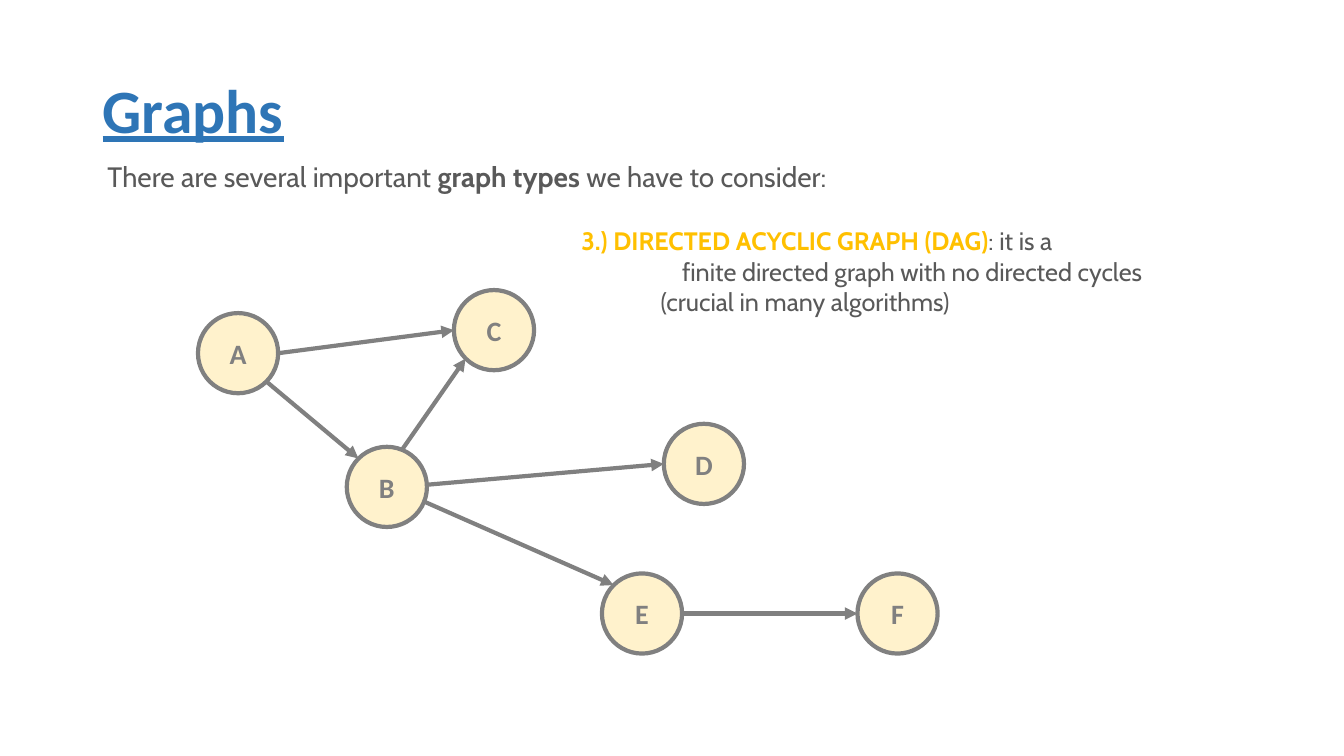
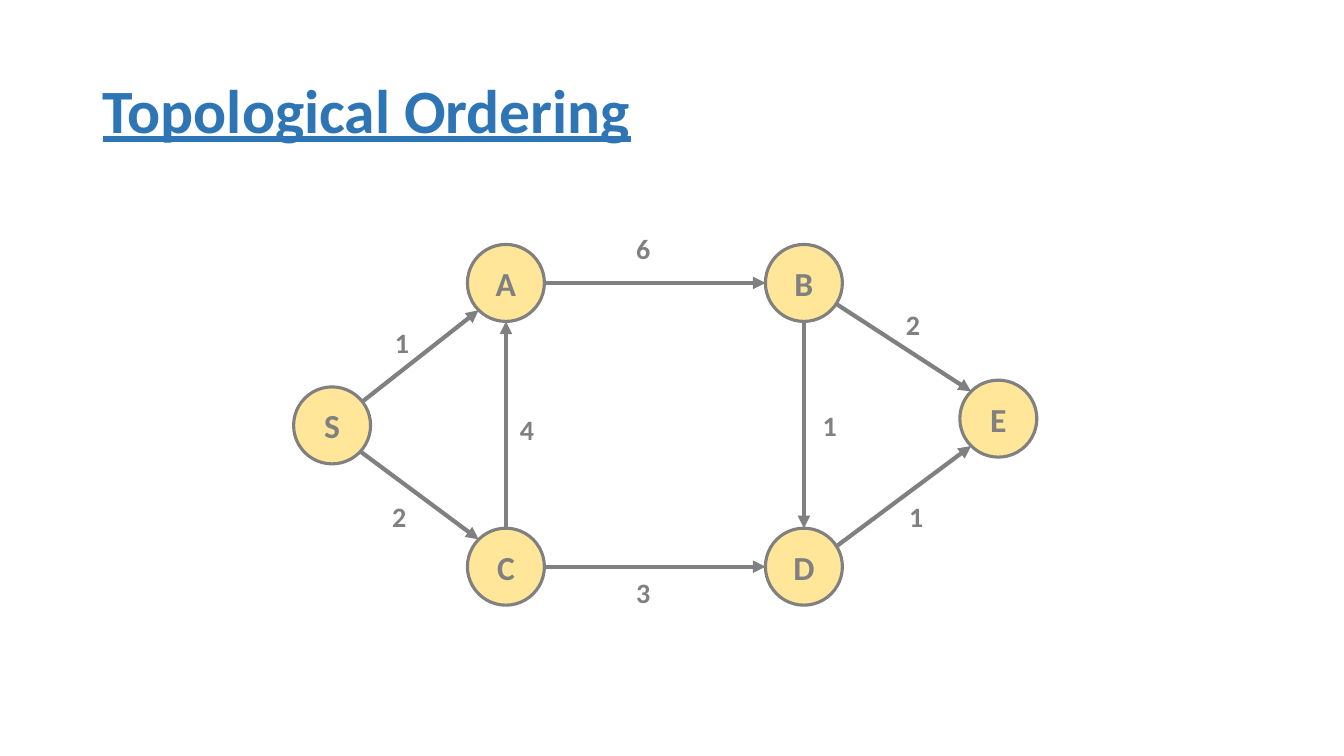
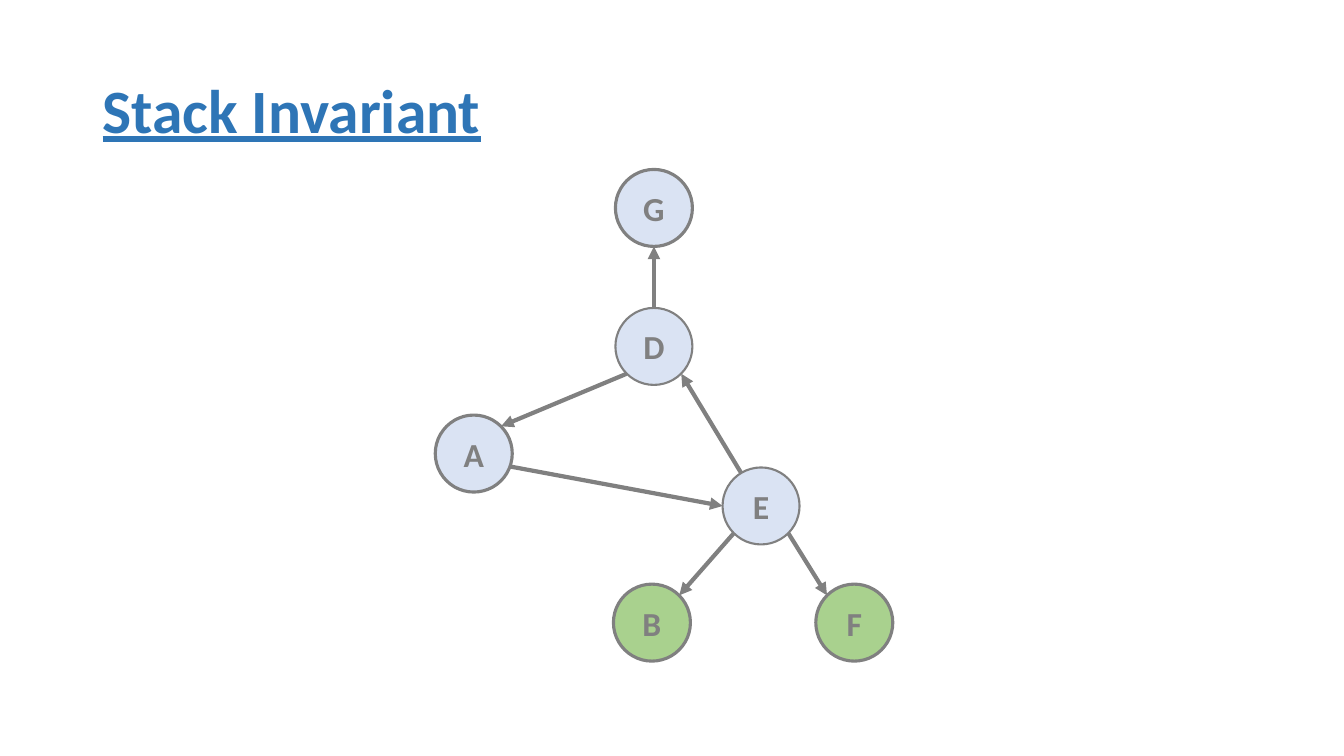
import dataclasses

import pptx
import pptx.dml.color
import pptx.enum.shapes
import pptx.enum.text
import pptx.oxml
import pptx.oxml.ns
import pptx.util

Cm = pptx.util.Cm
Pt = pptx.util.Pt
RGBColor = pptx.dml.color.RGBColor

TITLE_BLUE = RGBColor(0x2E, 0x75, 0xB6)
TEXT_GRAY = RGBColor(0x59, 0x59, 0x59)
GRAPH_GRAY = RGBColor(0x80, 0x80, 0x80)
GOLD = RGBColor(0xFF, 0xC0, 0x00)
CREAM = RGBColor(0xFF, 0xF2, 0xCC)
YELLOW = RGBColor(0xFF, 0xE6, 0x99)
PALE_BLUE = RGBColor(0xDA, 0xE3, 0xF3)
GREEN = RGBColor(0xA9, 0xD1, 0x8E)

HEADING_FONT = "Calibri"
BODY_FONT = "Cabin"

# Points on a node, as fractions of its radius from its centre
CENTER = (0, 0)
TOP, BOTTOM = (0, -1), (0, 1)
LEFT, RIGHT = (-1, 0), (1, 0)
TOP_LEFT, TOP_RIGHT = (-0.71, -0.71), (0.71, -0.71)
BOTTOM_LEFT, BOTTOM_RIGHT = (-0.71, 0.71), (0.71, 0.71)


@dataclasses.dataclass(frozen=True)
class NodeStyle:
    fill: RGBColor
    diameter: float = 1.94
    outline: float = 2.25
    letter_size: int = 24


@dataclasses.dataclass(frozen=True)
class Node:
    """A lettered circle, centred at x, y in centimetres."""
    x: float
    y: float
    style: NodeStyle

    def point(self, site):
        radius = self.style.diameter / 2
        return Cm(self.x + site[0] * radius), Cm(self.y + site[1] * radius)


def set_font(font, name, size, color, bold=None):
    font.name = name
    font.size = Pt(size)
    font.color.rgb = color
    font.bold = bold


def add_titled_slide(deck, heading):
    slide = deck.slides.add_slide(deck.slide_layouts[5])
    title = slide.shapes.title
    title.left, title.top = Cm(2.33), Cm(1.01)
    title.width, title.height = Cm(29.21), Cm(3.68)
    frame = title.text_frame
    frame.text = heading
    frame.auto_size = pptx.enum.text.MSO_AUTO_SIZE.NONE
    frame.vertical_anchor = pptx.enum.text.MSO_ANCHOR.MIDDLE
    paragraph = frame.paragraphs[0]
    paragraph.alignment = pptx.enum.text.PP_ALIGN.LEFT
    paragraph.line_spacing = 0.9
    set_font(paragraph.font, HEADING_FONT, 44, TITLE_BLUE, True)
    paragraph.font.underline = True
    return slide


def add_text(slide, left, top, width, height, size, lines):
    """Each line is an indent in centimetres and its (text, bold, color) runs."""
    frame = slide.shapes.add_textbox(Cm(left), Cm(top), Cm(width), Cm(height)).text_frame
    frame.word_wrap = True
    for index, (indent, runs) in enumerate(lines):
        paragraph = frame.add_paragraph() if index else frame.paragraphs[0]
        paragraph._p.get_or_add_pPr().set("marL", str(Cm(indent)))
        set_font(paragraph.font, BODY_FONT, size, TEXT_GRAY)
        for text, bold, color in runs:
            run = paragraph.add_run()
            run.text = text
            run.font.bold = bold
            run.font.color.rgb = color


def add_arrow(slide, start, end):
    arrow = slide.shapes.add_connector(
        pptx.enum.shapes.MSO_CONNECTOR.STRAIGHT, *start, *end)
    arrow.line.color.rgb = GRAPH_GRAY
    arrow.line.width = Pt(3)
    properties = arrow._element.spPr
    line = properties.find(pptx.oxml.ns.qn("a:ln"))
    namespace = pptx.oxml.ns.nsdecls("a")
    line.append(pptx.oxml.parse_xml(f'<a:tailEnd {namespace} type="triangle"/>'))
    properties.append(pptx.oxml.parse_xml(f"<a:effectLst {namespace}/>"))


def add_node(slide, letter, node):
    style = node.style
    circle = slide.shapes.add_shape(
        pptx.enum.shapes.MSO_SHAPE.OVAL, *node.point((-1, -1)),
        Cm(style.diameter), Cm(style.diameter))
    circle.shadow.inherit = False
    circle.fill.solid()
    circle.fill.fore_color.rgb = style.fill
    circle.line.color.rgb = GRAPH_GRAY
    circle.line.width = Pt(style.outline)
    frame = circle.text_frame
    frame.text = letter
    frame.vertical_anchor = pptx.enum.text.MSO_ANCHOR.MIDDLE
    paragraph = frame.paragraphs[0]
    paragraph.alignment = pptx.enum.text.PP_ALIGN.CENTER
    set_font(paragraph.font, HEADING_FONT, style.letter_size, GRAPH_GRAY, True)


def add_weight(slide, weight, left, top):
    frame = slide.shapes.add_textbox(Cm(left), Cm(top), Cm(0.86), Cm(1.11)).text_frame
    frame.word_wrap = False
    frame.text = weight
    set_font(frame.paragraphs[0].font, HEADING_FONT, 20, GRAPH_GRAY, True)


def add_graph(slide, nodes, edges):
    """Draw the edges first, so that nodes cover the ends that start inside them."""
    for source, start_site, target, end_site in edges:
        add_arrow(slide, nodes[source].point(start_site), nodes[target].point(end_site))
    for letter, node in nodes.items():
        add_node(slide, letter, node)


def build_graph_types(deck):
    slide = add_titled_slide(deck, "Graphs")
    add_text(slide, 2.46, 3.89, 20.42, 1.12, 20, [
        (0, [("There are several important ", False, TEXT_GRAY),
             ("graph types ", True, TEXT_GRAY),
             ("we have to consider:", False, TEXT_GRAY)]),
    ])
    add_text(slide, 14.4, 5.56, 15.95, 3.33, 18, [
        (0, [("3.) DIRECTED ACYCLIC GRAPH (DAG)", True, GOLD),
             (": it is a", False, TEXT_GRAY)]),
        (2.54, [("finite directed graph with no directed cycles", False, TEXT_GRAY)]),
        (2, [("(crucial in many algorithms)", False, TEXT_GRAY)]),
    ])
    cream = NodeStyle(CREAM, diameter=2.02, outline=3, letter_size=20)
    nodes = {
        "A": Node(6, 8.9, cream),
        "B": Node(9.75, 12.27, cream),
        "C": Node(12.45, 8.32, cream),
        "D": Node(17.74, 11.69, cream),
        "E": Node(16.18, 15.46, cream),
        "F": Node(22.62, 15.46, cream),
    }
    add_graph(slide, nodes, [
        ("A", RIGHT, "C", LEFT),
        ("A", BOTTOM_RIGHT, "B", TOP_LEFT),
        ("B", (0.38, -0.93), "C", BOTTOM_LEFT),
        ("B", (0.38, 0), "D", LEFT),
        ("B", (0.1, 0), "E", TOP_LEFT),
        ("E", RIGHT, "F", LEFT),
    ])


def build_topological_ordering(deck):
    slide = add_titled_slide(deck, "Topological Ordering")
    yellow = NodeStyle(YELLOW)
    left_column, right_column = 12.75, 20.26
    top_row, bottom_row = 7.13, 14.28
    nodes = {
        "S": Node(8.37, 10.72, yellow),
        "A": Node(left_column, top_row, yellow),
        "B": Node(right_column, top_row, yellow),
        "C": Node(left_column, bottom_row, yellow),
        "D": Node(right_column, bottom_row, yellow),
        "E": Node(25.16, 10.55, yellow),
    }
    add_graph(slide, nodes, [
        ("S", CENTER, "A", BOTTOM_LEFT),
        ("S", (0, 0.13), "C", TOP_LEFT),
        ("C", TOP, "A", BOTTOM),
        ("A", RIGHT, "B", LEFT),
        ("C", RIGHT, "D", LEFT),
        ("B", BOTTOM, "D", TOP),
        ("B", CENTER, "E", TOP_LEFT),
        ("D", (0, 0.1), "E", BOTTOM_LEFT),
    ])
    for weight, left, top in [
        ("1", 9.7, 8.08), ("2", 9.63, 12.47), ("4", 12.85, 10.28),
        ("6", 15.78, 5.71), ("3", 15.78, 14.38), ("1", 20.48, 10.18),
        ("2", 22.58, 7.62), ("1", 22.66, 12.47),
    ]:
        add_weight(slide, weight, left, top)


def build_stack_invariant(deck):
    slide = add_titled_slide(deck, "Stack Invariant")
    blue = NodeStyle(PALE_BLUE)
    thin_blue = NodeStyle(PALE_BLUE, outline=1.5)
    green = NodeStyle(GREEN)
    nodes = {
        "G": Node(16.48, 5.24, blue),
        "D": Node(16.48, 8.73, thin_blue),
        "A": Node(11.94, 11.43, blue),
        "E": Node(19.18, 12.75, thin_blue),
        "B": Node(16.43, 15.69, green),
        "F": Node(21.53, 15.69, green),
    }
    add_graph(slide, nodes, [
        ("D", TOP, "G", BOTTOM),
        ("D", BOTTOM_LEFT, "A", TOP_RIGHT),
        ("A", (0, 0.16), "E", LEFT),
        ("E", CENTER, "D", BOTTOM_RIGHT),
        ("E", BOTTOM_LEFT, "B", TOP_RIGHT),
        ("E", BOTTOM_RIGHT, "F", TOP_LEFT),
    ])


def main():
    deck = pptx.Presentation()
    deck.slide_width, deck.slide_height = Cm(33.87), Cm(19.05)
    build_graph_types(deck)
    build_topological_ordering(deck)
    build_stack_invariant(deck)
    deck.save("out.pptx")


if __name__ == "__main__":
    main()
